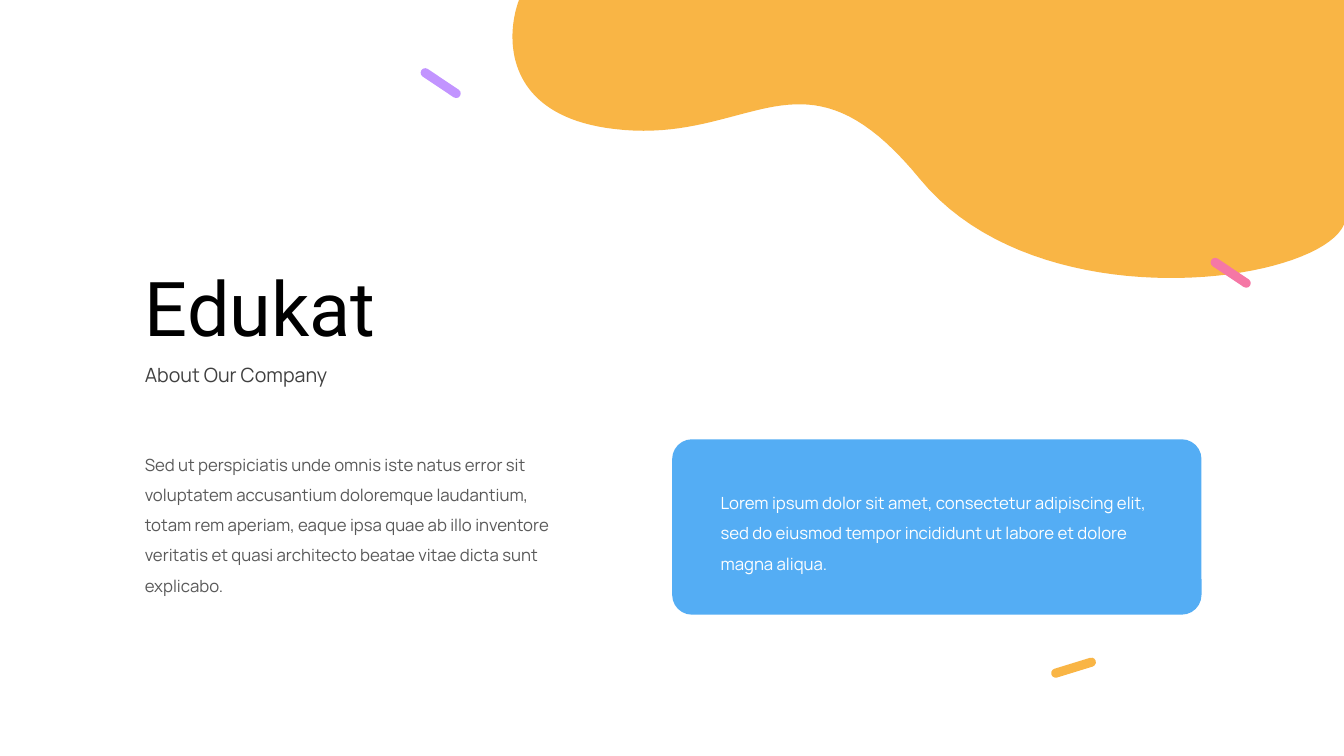
from pptx import Presentation
from pptx.dml.color import RGBColor
from pptx.enum.shapes import MSO_SHAPE
from pptx.enum.text import MSO_AUTO_SIZE
from pptx.util import Cm, Pt

ROUNDED = MSO_SHAPE.ROUNDED_RECTANGLE
GROW = MSO_AUTO_SIZE.SHAPE_TO_FIT_TEXT
COLORS = {
    "blue": "54ADF4", "orange": "F9B545", "purple": "C294FF", "pink": "F577A5",
    "black": "000000", "dark": "404040", "gray": "595959", "white": "FFFFFF",
}
CURVE_STEPS = 40


def paint(sp, color):
    """Give a shape a flat fill without line or shadow."""
    sp.fill.solid()
    sp.fill.fore_color.rgb = RGBColor.from_string(COLORS[color])
    sp.line.fill.background()
    sp.shadow.inherit = False


def curve_points(*controls):
    """Return points in EMU along a cubic Bezier curve given in cm."""
    points = []
    for step in range(1, CURVE_STEPS + 1):
        t = step / CURVE_STEPS
        weights = ((1 - t) ** 3, 3 * t * (1 - t) ** 2, 3 * t * t * (1 - t), t ** 3)
        points.append(tuple(
            Cm(sum(w * c[axis] for w, c in zip(weights, controls))) for axis in (0, 1)))
    return points


prs = Presentation()
prs.slide_width, prs.slide_height = Cm(33.87), Cm(19.05)
s = prs.slides.add_slide(prs.slide_layouts[6])

# Blue card
card = s.shapes.add_shape(ROUNDED, Cm(16.94), Cm(11.07), Cm(13.34), Cm(4.42))
card.adjustments[0] = 0.113
paint(card, "blue")

# Texts: left, top, width, height, wrap, line spacing, size, font, color, wording
texts = [
    (3.4, 6.45, 6.99, 2.57, False, None, 54, "Roboto", "black", "Edukat"),
    (3.4, 9.02, 5.72, 0.86, False, None, 14, "Manrope", "dark", "About Our Company"),
    (3.4, 11.07, 11.33, 4.04, True, 1.5, 12, "Manrope", "gray",
     "Sed ut perspiciatis unde omnis iste natus error sit voluptatem accusantium "
     "doloremque laudantium, totam rem aperiam, eaque ipsa quae ab illo inventore "
     "veritatis et quasi architecto beatae vitae dicta sunt explicabo."),
    (17.91, 12.04, 11.4, 2.49, True, 1.5, 12, "Manrope", "white",
     "Lorem ipsum dolor sit amet, consectetur adipiscing elit, sed do eiusmod "
     "tempor incididunt ut labore et dolore magna aliqua."),
]
for left, top, width, height, wrap, spacing, size, font, color, wording in texts:
    tf = s.shapes.add_textbox(Cm(left), Cm(top), Cm(width), Cm(height)).text_frame
    tf.word_wrap = wrap
    tf.auto_size = GROW
    p = tf.paragraphs[0]
    p.text = wording
    p.line_spacing = spacing
    r = p.runs[0]
    r.font.size = Pt(size)
    r.font.name = font
    r.font.color.rgb = RGBColor.from_string(COLORS[color])

# Orange blob in the top right corner
bottom, top_left = (15.47, 3.25), (13.08, 0)
right_edge, middle = (33.87, 5.66), (23.19, 4.52)
outline = curve_points(bottom, (12.7, 2.92), (12.73, 0.94), top_left)
outline += [(Cm(33.87), Cm(0)), (Cm(right_edge[0]), Cm(right_edge[1]))]
outline += curve_points(right_edge, (33.22, 7.16), (26.16, 8.13), middle)
outline += curve_points(middle, (20.22, 0.89), (18.95, 3.68), bottom)
builder = s.shapes.build_freeform(Cm(bottom[0]), Cm(bottom[1]))
builder.add_line_segments(outline, close=True)
paint(builder.convert_to_shape(), "orange")

# Small tilted bars
for left, top, angle, color in [
    (10.52, 1.98, 33.8, "purple"),
    (30.43, 6.76, 33.8, "pink"),
    (26.47, 16.71, 342.9, "orange"),
]:
    bar = s.shapes.add_shape(ROUNDED, Cm(left), Cm(top), Cm(1.17), Cm(0.23))
    bar.adjustments[0] = 0.5
    bar.rotation = angle
    paint(bar, color)

prs.save("out.pptx")
